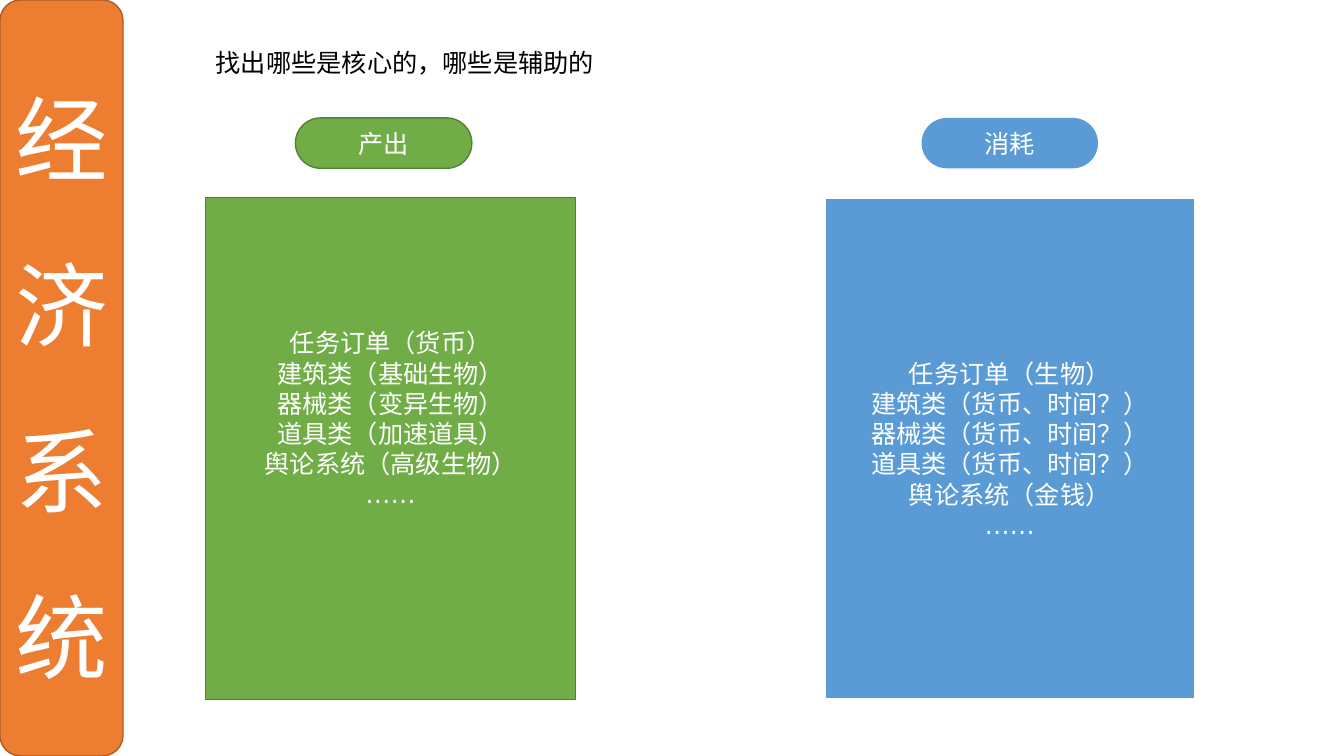
from pptx import Presentation
from pptx import util as u
from pptx.dml import color
from pptx.enum import shapes, text

PX = 9144  # one px is a hundredth of an inch
COLORS = {
    "white": "FFFFFF", "black": "000000",
    "orange": "ED7D31", "orange_edge": "AF5C24",
    "green": "70AD47", "green_edge": "538035",
    "blue": "5B9BD5",
}
BODY_FONT = "DejaVu Sans"
BANNER_FONT = "Noto Sans CJK SC"


def px(length):
    return u.Emu(length * PX)


def rgb(name):
    return color.RGBColor.from_string(COLORS[name])


def add_block(slide, kind, box, fill, edge=None, edge_pt=1):
    block = slide.shapes.add_shape(kind, *map(px, box))
    block.shadow.inherit = False
    block.fill.solid()
    block.fill.fore_color.rgb = rgb(fill)
    if edge:
        block.line.color.rgb = rgb(edge)
        block.line.width = u.Pt(edge_pt)
    else:
        block.line.fill.background()
    return block


def write_lines(shape, lines, size=18, font=BODY_FONT, ink="white",
                align=text.PP_ALIGN.CENTER, anchor=text.MSO_ANCHOR.MIDDLE):
    frame = shape.text_frame
    frame.word_wrap = True
    frame.auto_size = text.MSO_AUTO_SIZE.NONE
    frame.vertical_anchor = anchor
    for index, line in enumerate(lines):
        paragraph = frame.add_paragraph() if index else frame.paragraphs[0]
        paragraph.alignment = align
        run = paragraph.add_run()
        run.text = line
        run.font.size = u.Pt(size)
        run.font.name = font
        run.font.color.rgb = rgb(ink)
    return frame


# Side banner: one character per line
def add_banner(slide, box):
    banner = add_block(slide, shapes.MSO_SHAPE.ROUNDED_RECTANGLE, box,
                       "orange", "orange_edge")
    frame = write_lines(banner, ["经济系统"], 66, BANNER_FONT,
                        align=text.PP_ALIGN.LEFT)
    frame.margin_bottom = px(42)
    frame.paragraphs[0].line_spacing = u.Pt(118.6)


# Heading above the columns
def add_heading(slide, box):
    heading = slide.shapes.title
    heading.left, heading.top, heading.width, heading.height = map(px, box)
    write_lines(heading, ["找出哪些是核心的，哪些是辅助的"], ink="black",
                align=text.PP_ALIGN.LEFT, anchor=text.MSO_ANCHOR.TOP)


# Column: a pill label over a panel of items
def add_column(slide, box, label, label_shift, items, fill,
               label_edge, panel_edge, edge_pt, bottom_inset):
    left, top, width, height = box
    label_width, label_height, panel_drop = 175, 50, 79
    label_left = left + (width - label_width) // 2 + label_shift
    pill = add_block(slide, shapes.MSO_SHAPE.ROUNDED_RECTANGLE,
                     (label_left, top, label_width, label_height),
                     fill, label_edge)
    pill.adjustments[0] = 0.5
    write_lines(pill, [label])

    panel = add_block(slide, shapes.MSO_SHAPE.RECTANGLE,
                      (left, top + panel_drop, width, height - panel_drop),
                      fill, panel_edge, edge_pt)
    write_lines(panel, items).margin_bottom = px(bottom_inset)


def main():
    deck = Presentation()
    deck.slide_width, deck.slide_height = px(1333), px(750)
    slide = deck.slides.add_slide(deck.slide_layouts[5])
    slide.background.fill.solid()
    slide.background.fill.fore_color.rgb = rgb("white")

    add_banner(slide, (0, 0, 122, 750))
    add_heading(slide, (204, 42, 523, 40))
    add_column(slide, (204, 117, 367, 577), "产出", -7, [
        "任务订单（货币）",
        "建筑类（基础生物）",
        "器械类（变异生物）",
        "道具类（加速道具）",
        "舆论系统（高级生物）",
        "……",
    ], "green", "green_edge", "green_edge", 1, 65)
    add_column(slide, (818, 117, 367, 577), "消耗", 0, [
        "任务订单（生物）",
        "建筑类（货币、时间？）",
        "器械类（货币、时间？）",
        "道具类（货币、时间？）",
        "舆论系统（金钱）",
        "……",
    ], "blue", None, "white", 1.5, 5)
    deck.save("out.pptx")


if __name__ == "__main__":
    main()
